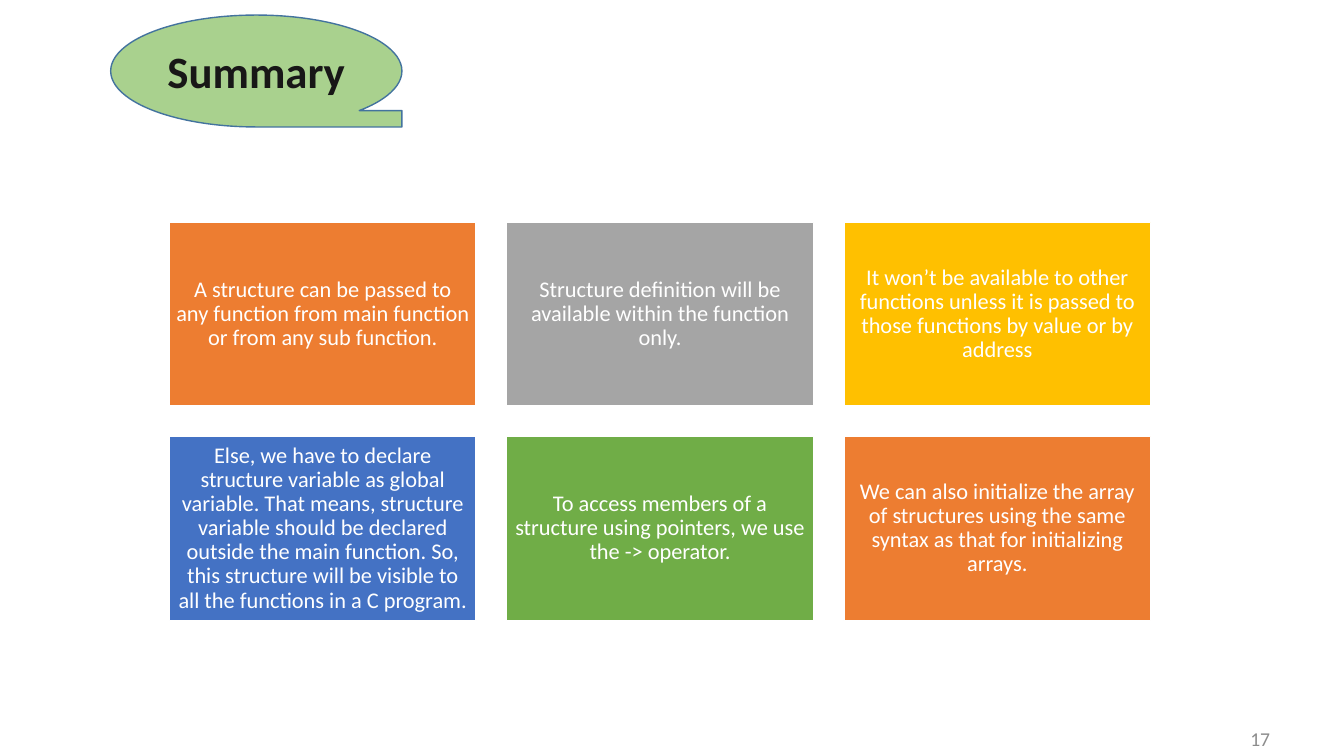
from dataclasses import dataclass

from pptx import Presentation
from pptx import util as u
from pptx.dml.color import RGBColor
from pptx.enum import shapes, text


@dataclass(frozen=True)
class Theme:
    font: str = "Calibri"
    heading_size: int = 32
    card_size: int = 16
    number_size: int = 14
    heading_fill: str = "A9D18E"
    heading_line: str = "43739E"
    heading_text: str = "181717"
    white: str = "FFFFFF"
    number_text: str = "8C8C8C"
    orange: str = "ED7D31"
    gray: str = "A5A5A5"
    gold: str = "FFC000"
    blue: str = "4472C4"
    green: str = "70AD47"


THEME = Theme()

CARDS = [
    (THEME.orange, "A structure can be passed to any function from main function "
                   "or from any sub function."),
    (THEME.gray, "Structure definition will be available within the function only."),
    (THEME.gold, "It won’t be available to other functions unless it is passed to "
                 "those functions by value or by address"),
    (THEME.blue, "Else, we have to declare structure variable as global variable. "
                 "That means, structure variable should be declared outside the main "
                 "function. So, this structure will be visible to all the functions "
                 "in a C program."),
    (THEME.green, "To access members of a structure using pointers, we use the "
                  "-> operator."),
    (THEME.orange, "We can also initialize the array of structures using the same "
                   "syntax as that for initializing arrays."),
]
COLUMNS = 3
CARD_LEFT, CARD_TOP = 4.27, 5.6
CARD_WIDTH, CARD_HEIGHT = 7.73, 4.63
CARD_GAP = 0.77
CARD_INSET = 0.16


def write(holder, words, size, color, align=text.PP_ALIGN.CENTER, bold=False):
    frame = holder.text_frame
    frame.text = words
    frame.word_wrap = True
    frame.vertical_anchor = text.MSO_ANCHOR.MIDDLE
    paragraph = frame.paragraphs[0]
    paragraph.alignment = align
    font = paragraph.runs[0].font
    font.name = THEME.font
    font.size = u.Pt(size)
    font.bold = bold
    font.color.rgb = RGBColor.from_string(color)
    return frame


def add_block(slide, preset, box, fill, line):
    block = slide.shapes.add_shape(preset, *map(u.Cm, box))
    block.shadow.inherit = False
    block.fill.solid()
    block.fill.fore_color.rgb = RGBColor.from_string(fill)
    block.line.color.rgb = RGBColor.from_string(line)
    block.line.width = u.Pt(1)
    return block


def add_heading(slide, words):
    heading = add_block(slide, shapes.MSO_SHAPE.FLOWCHART_SEQUENTIAL_ACCESS_STORAGE,
                        (2.79, 0.38, 7.34, 2.82),
                        THEME.heading_fill, THEME.heading_line)
    write(heading, words, THEME.heading_size, THEME.heading_text, bold=True)


def add_card(slide, index, fill, words):
    row, column = divmod(index, COLUMNS)
    left = CARD_LEFT + column * (CARD_WIDTH + CARD_GAP)
    top = CARD_TOP + row * (CARD_HEIGHT + CARD_GAP)
    card = add_block(slide, shapes.MSO_SHAPE.RECTANGLE,
                     (left, top, CARD_WIDTH, CARD_HEIGHT), fill, THEME.white)
    frame = write(card, words, THEME.card_size, THEME.white)
    frame.margin_left = frame.margin_right = u.Cm(CARD_INSET)
    frame.margin_top = frame.margin_bottom = u.Cm(CARD_INSET)
    frame.paragraphs[0].line_spacing = 0.9


def add_page_number(slide, number):
    page_number = slide.shapes.add_textbox(u.Cm(26.57), u.Cm(18.54),
                                           u.Cm(5.69), u.Cm(0.13))
    write(page_number, number, THEME.number_size, THEME.number_text,
          align=text.PP_ALIGN.RIGHT)


def main():
    deck = Presentation()
    deck.slide_width, deck.slide_height = u.Cm(33.87), u.Cm(19.05)
    slide = deck.slides.add_slide(deck.slide_layouts[6])
    add_page_number(slide, "17")
    add_heading(slide, "Summary")
    for index, (fill, words) in enumerate(CARDS):
        add_card(slide, index, fill, words)
    deck.save("out.pptx")


if __name__ == "__main__":
    main()
